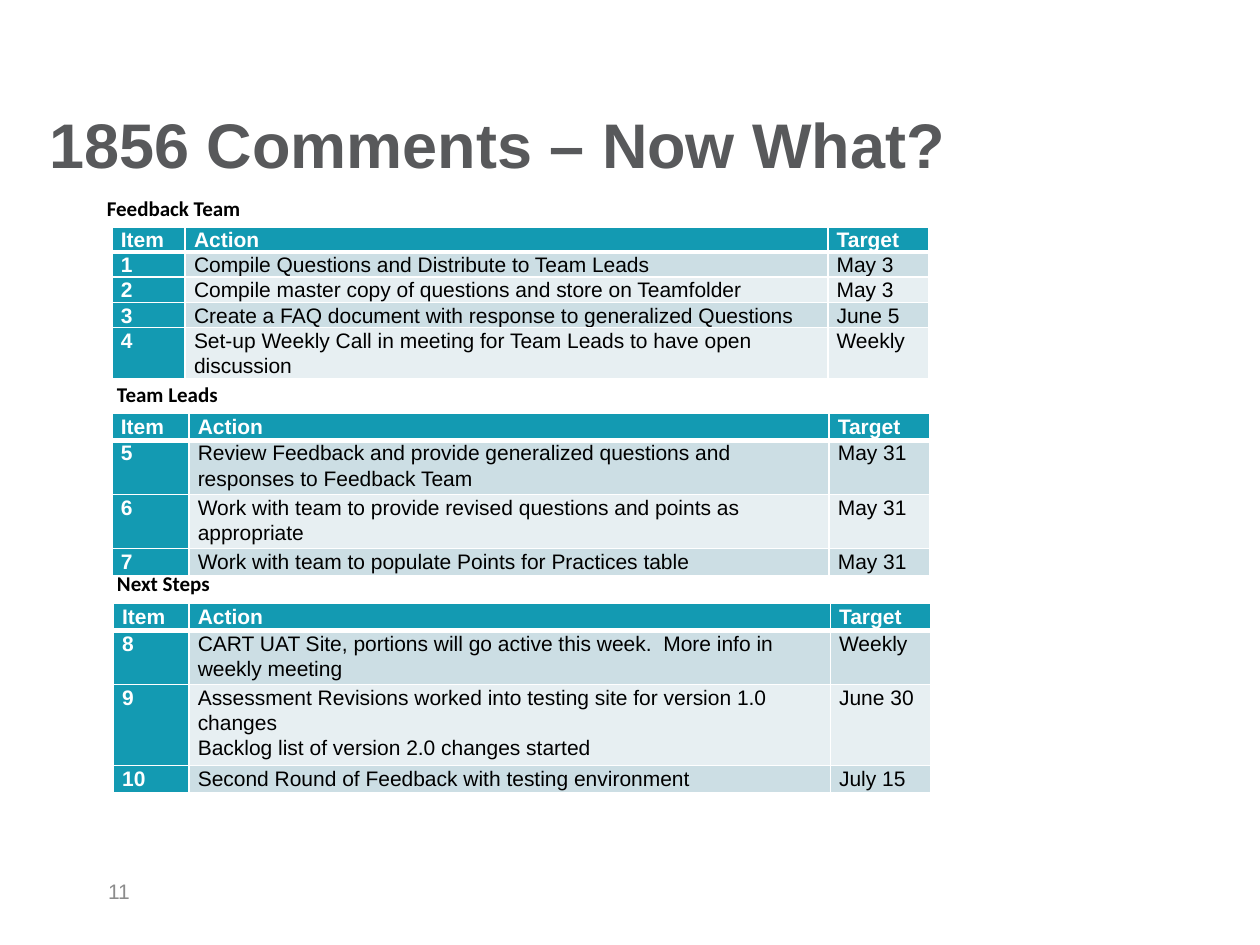
from lxml import etree
from pptx import Presentation
from pptx.dml.color import RGBColor
from pptx.enum.text import MSO_ANCHOR, PP_ALIGN
from pptx.oxml.ns import qn
from pptx.util import Inches, Pt

# Content
TITLE = "1856 Comments – Now What?"
PAGE = "11"
HEAD = ("Item", "Action", "Target")
# heading, heading box, table left and top, column widths, row heights, rows
PARTS = [
    ("Feedback Team", (0.75, 1.5, 3, 0.3), (0.89, 1.8),
     (0.58, 5.1, 0.8), (0.2, 0.2, 0.2, 0.2, 0.41), [
         ("1", "Compile Questions and Distribute to Team Leads", "May 3"),
         ("2", "Compile master copy of questions and store on Teamfolder", "May 3"),
         ("3", "Create a FAQ document with response to generalized Questions", "June 5"),
         ("4", "Set-up Weekly Call in meeting for Team Leads to have open discussion",
          "Weekly")]),
    ("Team Leads", (0.83, 2.98, 5.92, 0.3), (0.89, 3.28),
     (0.61, 5.08, 0.8), (0.21, 0.43, 0.43, 0.21), [
         ("5", "Review Feedback and provide generalized questions and responses "
               "to Feedback Team", "May 31"),
         ("6", "Work with team to provide revised questions and points as appropriate",
          "May 31"),
         ("7", "Work with team to populate Points for Practices table", "May 31")]),
    ("Next Steps", (0.83, 4.48, 4.58, 0.3), (0.9, 4.79),
     (0.6, 5.09, 0.8), (0.21, 0.43, 0.64, 0.21), [
         ("8", "CART UAT Site, portions will go active this week.  More info in "
               "weekly meeting", "Weekly"),
         ("9", "Assessment Revisions worked into testing site for version 1.0 changes\n"
               "Backlog list of version 2.0 changes started", "June 30"),
         ("10", "Second Round of Feedback with testing environment", "July 15")]),
]

WHITE = RGBColor(0xFF, 0xFF, 0xFF)
BLACK = RGBColor(0, 0, 0)
SLATE = RGBColor(0x58, 0x59, 0x5B)
GRAY = RGBColor(0x8C, 0x8C, 0x8C)
TEAL = RGBColor(0x13, 0x9A, 0xB2)
BANDS = (RGBColor(0xE7, 0xEF, 0xF2), RGBColor(0xCC, 0xDE, 0xE4))


def style(para, size, color, bold=False, face="Arial"):
    for run in para.runs:
        font = run.font
        font.name, font.size, font.bold = face, Pt(size), bold
        font.color.rgb = color


def add_text(slide, words, box, color, bold=False, face="Arial"):
    frame = slide.shapes.add_textbox(*map(Inches, box)).text_frame
    frame.word_wrap = True
    frame.vertical_anchor = MSO_ANCHOR.MIDDLE
    frame.text = words
    style(frame.paragraphs[0], 12, color, bold, face)


def set_edges(cell, row):
    """White rules, with a thick one under the header row."""
    wide = {"T": 3 if row == 1 else 1, "B": 3 if row == 0 else 1}
    props = cell._tc.get_or_add_tcPr()
    for spot, side in enumerate("LRTB"):
        line = etree.Element(qn("a:ln" + side), w=str(Pt(wide.get(side, 1))))
        fill = etree.SubElement(line, qn("a:solidFill"))
        etree.SubElement(fill, qn("a:srgbClr"), val=str(WHITE))
        props.insert(spot, line)


def fill_cell(cell, words, row, col):
    strong = row == 0 or col == 0
    cell.margin_left = cell.margin_right = Inches(0.07)
    cell.margin_top = cell.margin_bottom = 0
    cell.fill.solid()
    cell.fill.fore_color.rgb = TEAL if strong else BANDS[row % 2]
    set_edges(cell, row)
    cell.text_frame.text = words
    for para in cell.text_frame.paragraphs:
        para.line_spacing = 1.07
        if col == 2 and row:
            para.space_after = Pt(8)
        style(para, 12, WHITE if strong else BLACK, strong)


def add_grid(slide, spot, wides, highs, rows):
    box = (*spot, sum(wides), sum(highs))
    grid = slide.shapes.add_table(len(highs), len(wides), *map(Inches, box)).table
    for col, wide in zip(grid.columns, wides):
        col.width = Inches(wide)
    for row, high in zip(grid.rows, highs):
        row.height = Inches(high)
    for r, row in enumerate([HEAD, *rows]):
        for c, words in enumerate(row):
            fill_cell(grid.cell(r, c), words, r, c)


def main():
    deck = Presentation()
    deck.slide_width, deck.slide_height = Inches(10), Inches(7.5)
    slide = deck.slides.add_slide(deck.slide_layouts[5])

    # Title
    title = slide.shapes.title
    title.left, title.top = Inches(0.29), Inches(0.62)
    title.width, title.height = Inches(9), Inches(1.03)
    title.text_frame.text = TITLE
    title.text_frame.vertical_anchor = MSO_ANCHOR.MIDDLE
    para = title.text_frame.paragraphs[0]
    para.alignment = PP_ALIGN.LEFT
    style(para, 36, SLATE, True)

    # Headed tables
    for name, box, spot, wides, highs, rows in PARTS:
        add_grid(slide, spot, wides, highs, rows)
        add_text(slide, name, box, BLACK, True, "Calibri")

    # Page number
    add_text(slide, PAGE, (0.76, 6.87, 2.33, 0.4), GRAY)
    deck.save("out.pptx")


if __name__ == "__main__":
    main()
